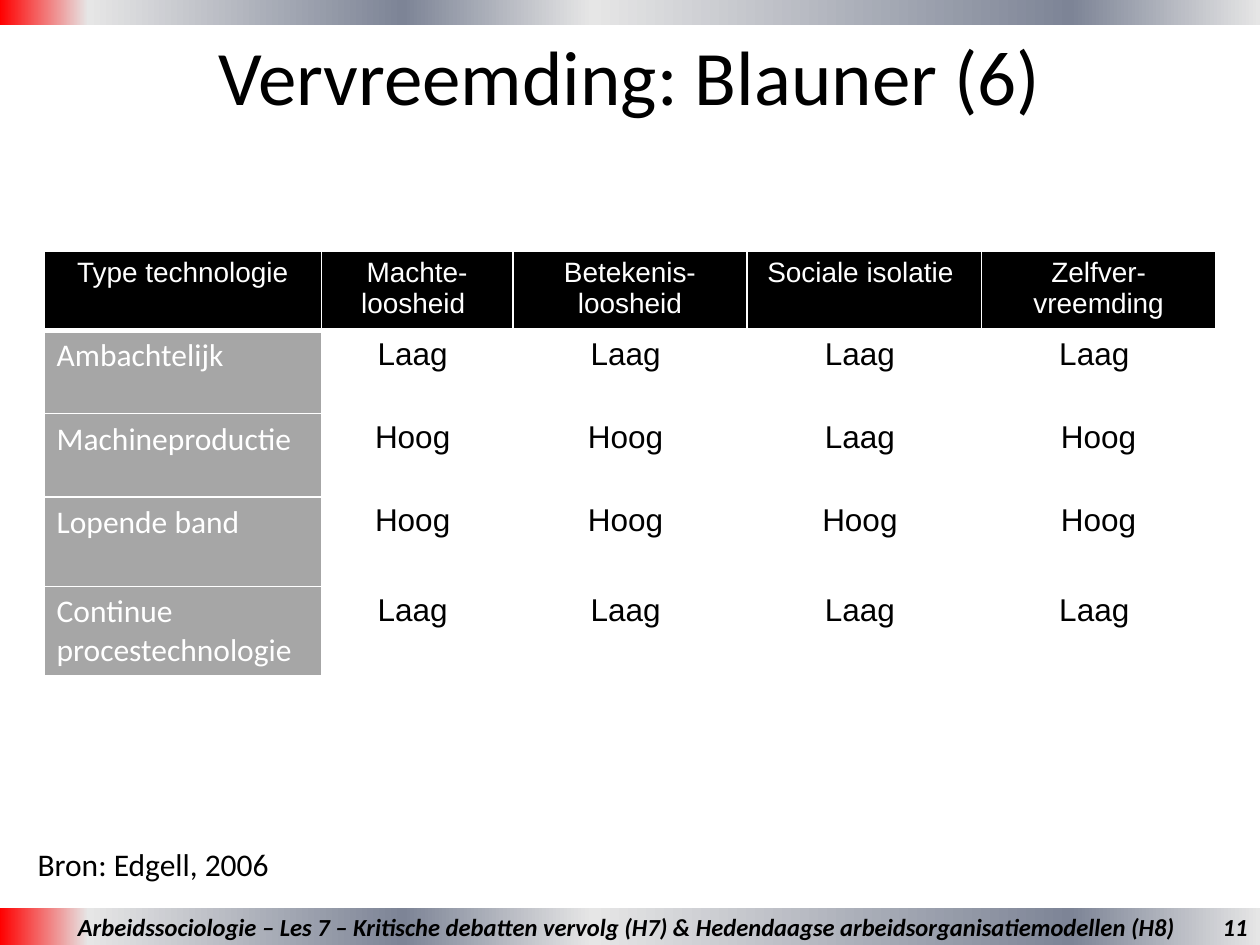
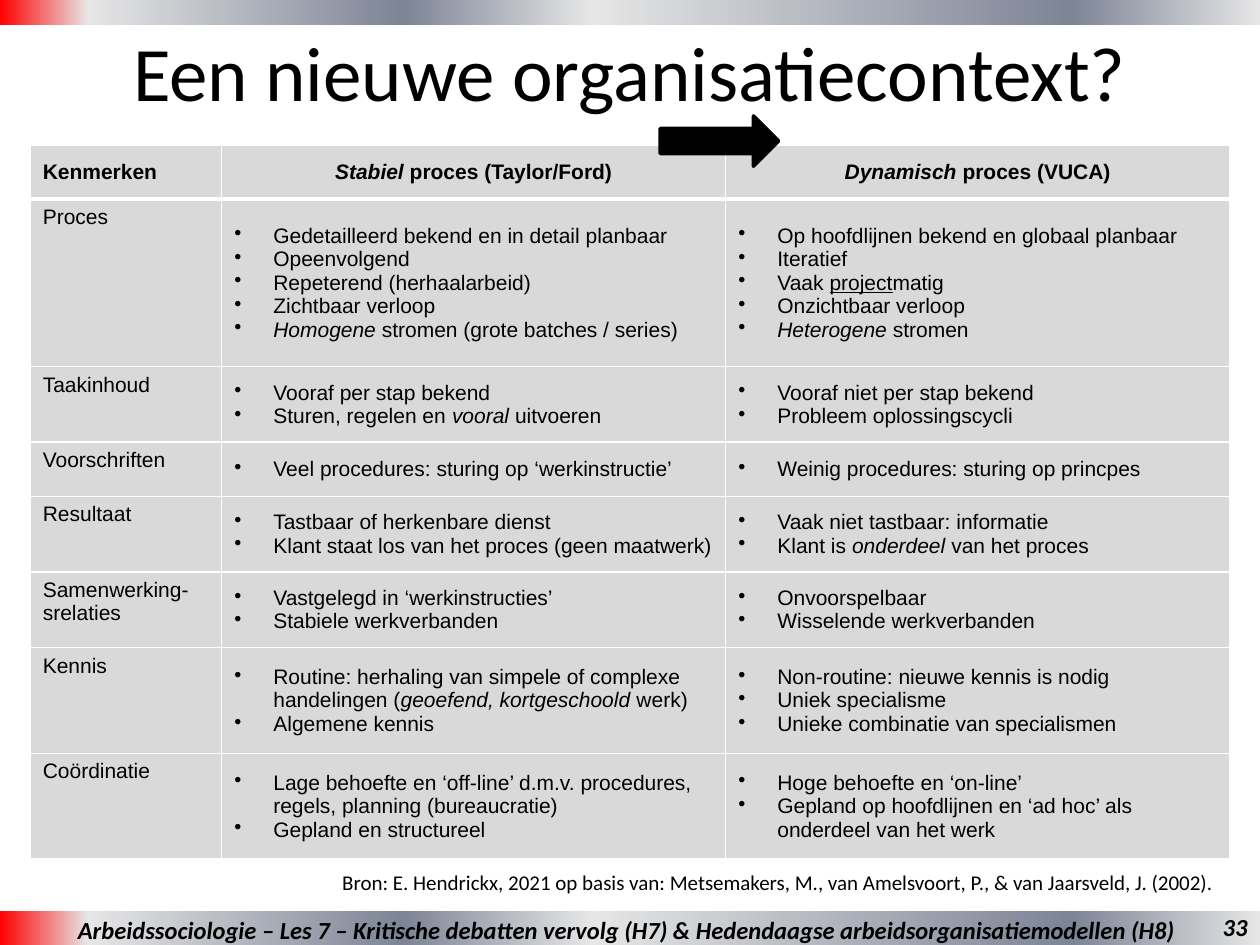
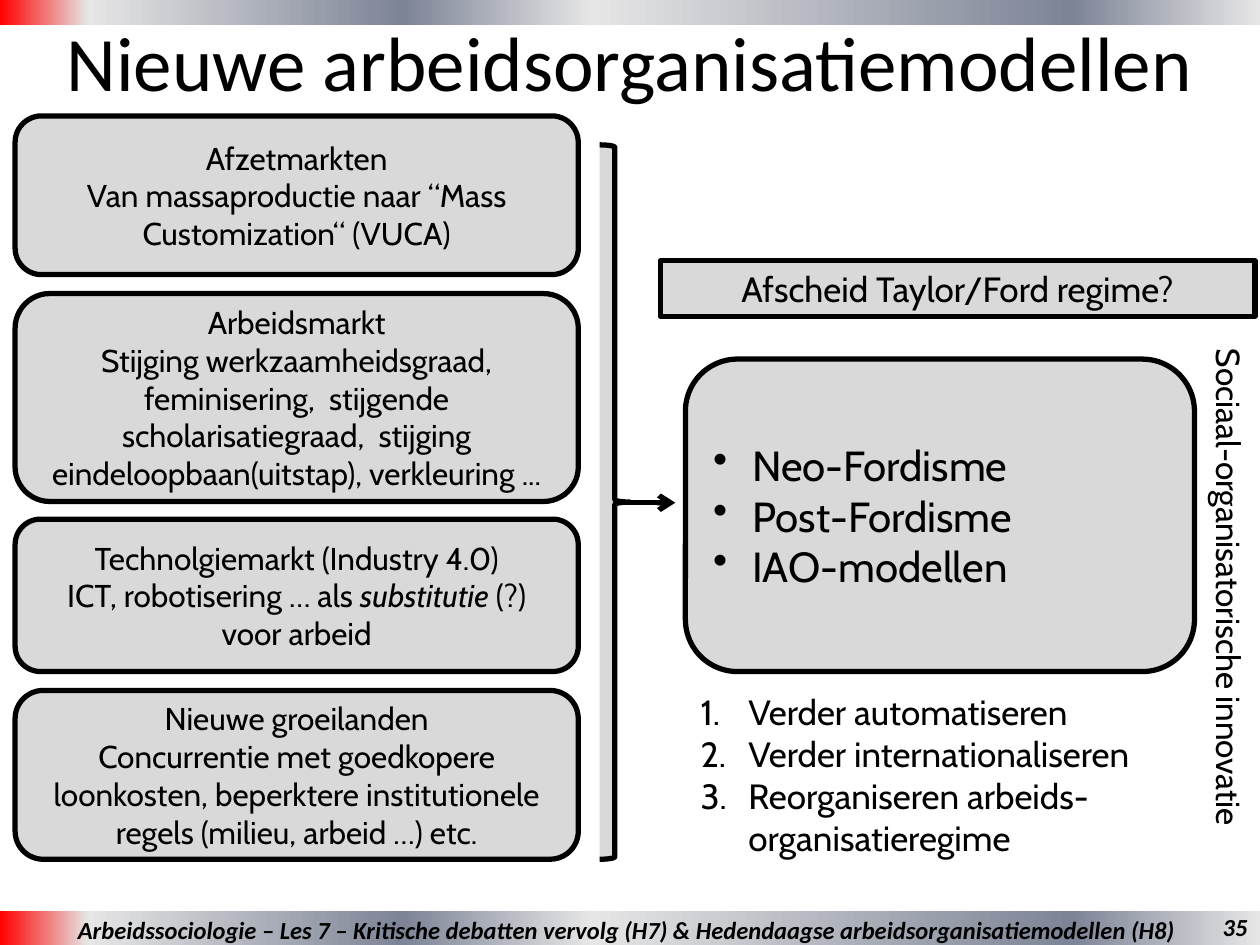
import copy

import lxml.etree
import pptx
import pptx.dml.color
import pptx.enum.shapes
import pptx.enum.text
import pptx.oxml.ns
import pptx.util

rgb = pptx.dml.color.RGBColor.from_string
qn = pptx.oxml.ns.qn
Pt = pptx.util.Pt
SHAPE = pptx.enum.shapes.MSO_SHAPE
ANCHOR = pptx.enum.text.MSO_ANCHOR
CENTER = pptx.enum.text.PP_ALIGN.CENTER
LEFT = pptx.enum.text.PP_ALIGN.LEFT
RIGHT = pptx.enum.text.PP_ALIGN.RIGHT

BLACK, WHITE, LIGHT, GREY = "000000", "FFFFFF", "D9D9D9", "A6A6A6"
BAND = [(0, "FF0000"), (0.07, "E6E6E6"), (0.32, "7D8496"),
        (0.47, "E6E6E6"), (0.85, "7D8496"), (1, "E6E6E6")]
FOOTER = ("Arbeidssociologie – Les 7 – Kritische debatten vervolg (H7) & "
          "Hedendaagse arbeidsorganisatiemodellen (H8) ")
FOOTER_TEXT = {"size": 14, "bold": True, "italic": True}

prs = pptx.Presentation()
prs.slide_width = pptx.util.Inches(10)
prs.slide_height = pptx.util.Inches(7.5)
# The slide is a grid of 100 columns by 75 rows with square cells.
UNIT = prs.slide_width / 100


def write(tf, text, size=18, font="Calibri", color=BLACK, align=LEFT, bold=False,
          italic=False, bullet=None, indent=3.1):
    """Fill a text frame: one paragraph per line, *italic* and _underlined_ parts."""
    tf.word_wrap = True
    for n, line in enumerate(text.split("\n")):
        p = tf.add_paragraph() if n else tf.paragraphs[0]
        if bullet:
            pPr = p._p.get_or_add_pPr()
            pPr.set("marL", str(round(indent * UNIT)))
            pPr.set("indent", str(round(-indent * UNIT)))
            tag, key, value = bullet
            lxml.etree.SubElement(pPr, qn(tag)).set(key, value)
        p.alignment = align
        p.space_before = Pt(0)
        for i, part in enumerate(line.split("*")):
            for u, bit in enumerate(part.split("_")):
                if not bit:
                    continue
                r = p.add_run()
                r.text = bit
                values = {"name": font, "size": Pt(size), "bold": bold,
                          "italic": italic or i % 2 == 1, "underline": u % 2 == 1}
                for name, value in values.items():
                    setattr(r.font, name, value)
                r.font.color.rgb = rgb(color)


def block(s, at, kind=None, fill=None, line=0, text="", anchor=ANCHOR.MIDDLE, **fmt):
    """Add a preset shape, or a text box if no kind is given; at is in grid cells."""
    at = [round(v * UNIT) for v in at]
    if kind is None:
        sp = s.shapes.add_textbox(*at)
    else:
        sp = s.shapes.add_shape(kind, *at)
        sp.shadow.inherit = False
        if fill:
            sp.fill.solid()
            sp.fill.fore_color.rgb = rgb(fill)
        if line:
            sp.line.color.rgb = rgb(BLACK)
            sp.line.width = Pt(line)
        else:
            sp.line.fill.background()
    sp.text_frame.vertical_anchor = anchor
    if text:
        write(sp.text_frame, text, **fmt)
    return sp


DOT = ("a:buChar", "char", "•")
NUMBER = ("a:buAutoNum", "type", "arabicPeriod")

# Shared frame: title, gradient bands, footer and page number
pages = [("Vervreemding: Blauner (6)", 5, 1.3, 72.1, "11"),
         ("Een nieuwe organisatiecontext?", 5, 1, 72.3, "33"),
         ("Nieuwe arbeidsorganisatiemodellen", 1, 0.2, 72.3, "35")]
for title, layout, title_top, footer_top, number in pages:
    s = prs.slides.add_slide(prs.slide_layouts[layout])
    sp = s.shapes.title
    place = {"left": 0, "top": title_top, "width": 100, "height": 9.2}
    for name, value in place.items():
        setattr(sp, name, round(value * UNIT))
    sp.text_frame.auto_size = pptx.enum.text.MSO_AUTO_SIZE.NONE
    sp.text_frame.vertical_anchor = ANCHOR.MIDDLE
    write(sp.text_frame, title, size=44, align=CENTER)
    for top, height, text in [(footer_top, 2.9, FOOTER), (0, 2, "")]:
        sp = block(s, (0, top, 100, height), SHAPE.RECTANGLE, text=text,
                   align=CENTER, **FOOTER_TEXT)
        sp.fill.gradient()
        sp.fill.gradient_angle = 0
        stops = sp._element.spPr.find(".//" + qn("a:gsLst"))
        while len(stops) < len(BAND):
            stops.append(copy.deepcopy(stops[0]))
        for stop, (position, color) in zip(sp.fill.gradient_stops, BAND):
            stop.position = position
            stop.color.rgb = rgb(color)
    block(s, (71.7, 72.1, 28.3, 2.9), text=number, align=RIGHT, **FOOTER_TEXT)

alienation, context, models = prs.slides

# Tables on the first two slides
alienation_rows = [
    ["Type technologie", "Machte-loosheid ", "Betekenis-loosheid", "Sociale isolatie ",
     "Zelfver-vreemding"],
    ["Ambachtelijk", "Laag ", "Laag ", "Laag ", "Laag "],
    ["Machineproductie", "Hoog ", "Hoog ", "Laag ", "Hoog"],
    ["Lopende band", "Hoog ", "Hoog ", "Hoog ", "Hoog"],
    ["Continue procestechnologie", "Laag ", "Laag ", "Laag ", "Laag "],
]
context_rows = [
    ["Kenmerken", "*Stabiel* proces (Taylor/Ford)", "*Dynamisch* proces (VUCA)"],
    ["Proces",
     "Gedetailleerd bekend en in detail planbaar\nOpeenvolgend\n"
     "Repeterend (herhaalarbeid)\nZichtbaar verloop\n"
     "*Homogene* stromen (grote batches / series)",
     "Op hoofdlijnen bekend en globaal planbaar\nIteratief\nVaak _project_matig\n"
     "Onzichtbaar verloop\n*Heterogene* stromen"],
    ["Taakinhoud",
     "Vooraf per stap bekend\nSturen, regelen en *vooral *uitvoeren",
     "Vooraf niet per stap bekend\nProbleem oplossingscycli"],
    ["Voorschriften",
     "Veel procedures: sturing op ‘werkinstructie’",
     "Weinig procedures: sturing op princpes"],
    ["Resultaat",
     "Tastbaar of herkenbare dienst\nKlant staat los van het proces (geen maatwerk)",
     "Vaak niet tastbaar: informatie\nKlant is *onderdeel* van het proces"],
    ["Samenwerking-srelaties",
     "Vastgelegd in ‘werkinstructies’\nStabiele werkverbanden",
     "Onvoorspelbaar\nWisselende werkverbanden"],
    ["Kennis",
     "Routine: herhaling van simpele of complexe handelingen "
     "(*geoefend, kortgeschoold* werk)\nAlgemene kennis",
     "Non-routine: nieuwe kennis is nodig\nUniek specialisme\n"
     "Unieke combinatie van specialismen"],
    ["Coördinatie",
     "Lage behoefte en ‘off-line’ d.m.v. procedures, regels, planning (bureaucratie)\n"
     "Gepland en structureel",
     "Hoge behoefte en ‘on-line’\n"
     "Gepland op hoofdlijnen en ‘ad hoc’ als onderdeel van het werk"],
]

# Each part of a table has a fill, an anchor and a text format.
arial = {"font": "Arial", "size": 12}
white_head = (BLACK, ANCHOR.TOP,
              {"font": "Arial", "size": 16, "color": WHITE, "align": CENTER})
alienation_parts = {
    "corner": white_head,
    "head": white_head,
    "label": (GREY, ANCHOR.TOP, {"color": WHITE}),
    "body": (None, ANCHOR.TOP, {"font": "Arial", "align": CENTER}),
}
context_parts = {
    "corner": (LIGHT, ANCHOR.MIDDLE, {**arial, "bold": True}),
    "head": (LIGHT, ANCHOR.MIDDLE, {**arial, "bold": True, "align": CENTER}),
    "label": (LIGHT, ANCHOR.TOP, arial),
    "body": (LIGHT, ANCHOR.MIDDLE, {**arial, "bullet": DOT}),
}
tables = [
    (alienation, 3.5, 19.9, [22, 15.2] + [18.6] * 3, [5.9, 6.6, 6.6, 7.1, 7.1],
     alienation_rows, alienation_parts),
    (context, 2.4, 11.5, [15.2, 40, 40], [4.3, 13.3, 6, 4.3, 6, 6, 8.4, 8.4],
     context_rows, context_parts),
]
for s, left, top, widths, heights, rows, parts in tables:
    at = [round(v * UNIT) for v in (left, top, sum(widths), sum(heights))]
    tbl = s.shapes.add_table(len(heights), len(widths), *at).table
    tbl.horz_banding = False
    for column, width in zip(tbl.columns, widths):
        column.width = round(width * UNIT)
    for i, (row, height) in enumerate(zip(tbl.rows, heights)):
        row.height = round(height * UNIT)
        for j, cell in enumerate(row.cells):
            part = ("head" if j else "corner") if i == 0 else ("body" if j else "label")
            fill, anchor, fmt = parts[part]
            tcPr = cell._tc.get_or_add_tcPr()
            for side in "LRTB":
                points = 3 if i == 0 and side == "B" else 1
                ln = lxml.etree.SubElement(tcPr, qn("a:ln" + side), w=str(Pt(points)))
                solid = lxml.etree.SubElement(ln, qn("a:solidFill"))
                lxml.etree.SubElement(solid, qn("a:srgbClr"), val=WHITE)
            if fill:
                cell.fill.solid()
                cell.fill.fore_color.rgb = rgb(fill)
            else:
                cell.fill.background()
            cell.vertical_anchor = anchor
            write(cell.text_frame, rows[i][j], **fmt)

block(alienation, (2, 66.6, 37, 4), text="Bron: Edgell, 2006", anchor=ANCHOR.TOP)
block(context, (2.4, 68.5, 95.3, 3), anchor=ANCHOR.TOP, size=12, align=RIGHT,
      text="Bron: E. Hendrickx, 2021 op basis van: Metsemakers, M., "
           "van Amelsvoort, P., & van Jaarsveld, J. (2002). ")
block(context, (52.4, 9.2, 9.4, 4), SHAPE.RIGHT_ARROW, BLACK, 2)

# Drivers on the left, new models on the right
drivers = [
    (9.2, 12.6, "Afzetmarkten\nVan massaproductie naar “Mass Customization“ (VUCA)"),
    (23.3, 16.5, "Arbeidsmarkt\nStijging werkzaamheidsgraad, feminisering,  stijgende "
                 "scholarisatiegraad,  stijging eindeloopbaan(uitstap), verkleuring ..."),
    (41.2, 12.1, "Technolgiemarkt (Industry 4.0)\n"
                 "ICT, robotisering … als *substitutie* (?) voor arbeid"),
    (54.8, 13.4, "Nieuwe groeilanden\nConcurrentie met goedkopere loonkosten, "
                 "beperktere institutionele regels (milieu, arbeid …) etc."),
]
for top, height, text in drivers:
    block(models, (1.2, top, 44.7, height), SHAPE.ROUNDED_RECTANGLE, LIGHT, 3, text,
          font="Cabin", align=CENTER)
block(models, (54.4, 28.5, 40.4, 24.8), SHAPE.ROUNDED_RECTANGLE, LIGHT, 3,
      "Neo-Fordisme\nPost-Fordisme\nIAO-modellen", font="Cabin", size=24, bullet=DOT)

sp = models.placeholders[1]
place = {"left": 54.6, "top": 54.3, "width": 38.6, "height": 14.5}
for name, value in place.items():
    setattr(sp, name, round(value * UNIT))
sp.text_frame.auto_size = pptx.enum.text.MSO_AUTO_SIZE.NONE
write(sp.text_frame, "Verder automatiseren\nVerder internationaliseren\n"
      "Reorganiseren arbeids-organisatieregime",
      font="Cabin", size=20, bullet=NUMBER, indent=3.8)

block(models, (52.4, 20.7, 47.2, 4.4), SHAPE.RECTANGLE, LIGHT, 3,
      "Afscheid Taylor/Ford regime?", font="Cabin", size=20, align=CENTER)
block(models, (47.6, 11.5, 2.4, 56.7), SHAPE.RIGHT_BRACE, LIGHT, 3)

ends = [round(v * UNIT) for v in (49.2, 39.9, 53.6, 39.9)]
arrow = models.shapes.add_connector(pptx.enum.shapes.MSO_CONNECTOR.STRAIGHT, *ends)
arrow.line.color.rgb = rgb(BLACK)
arrow.line.width = Pt(3)
lxml.etree.SubElement(arrow.line._get_or_add_ln(), qn("a:tailEnd"), type="arrow")
lxml.etree.SubElement(arrow._element.spPr, qn("a:effectLst"))

sp = block(models, (75.1, 44.5, 44.9, 4.2), text="Sociaal-organisatorische innovatie",
           anchor=ANCHOR.TOP, font="Cabin", size=19, align=CENTER)
sp.rotation = 90

prs.save("out.pptx")
